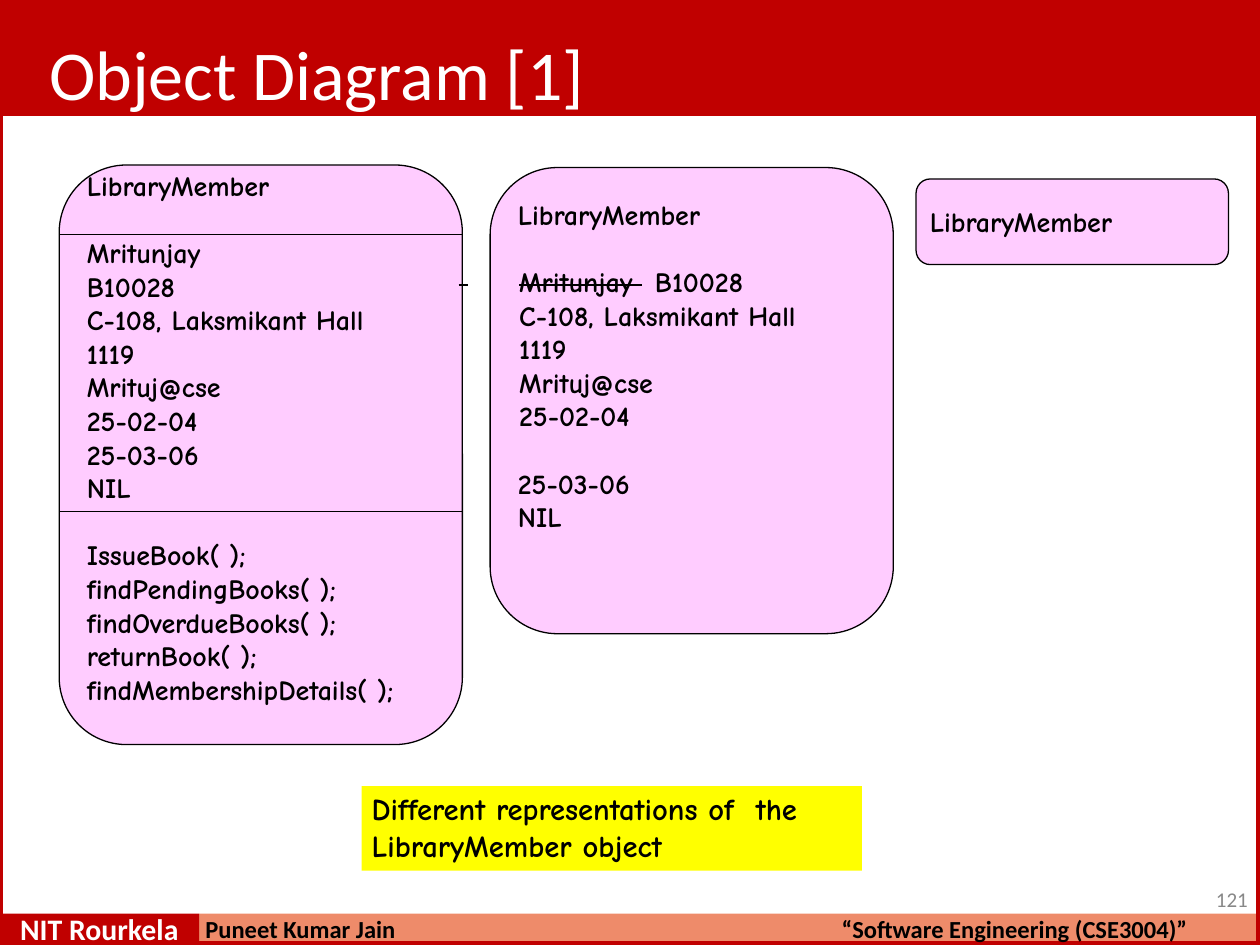
import pptx
import pptx.util
import pptx.dml.color
import pptx.enum.dml
import pptx.enum.shapes
import pptx.enum.text
import pptx.oxml
import pptx.oxml.ns
from dataclasses import dataclass

Inches, Pt = pptx.util.Inches, pptx.util.Pt
SHAPE = pptx.enum.shapes.MSO_SHAPE


@dataclass(frozen=True)
class Theme:
    red: str = "C00000"
    salmon: str = "EE8B6A"
    pink: str = "FFCCFF"
    yellow: str = "FFFF00"
    black: str = "000000"
    hairline: float = 0.75
    border: float = 4
    corner: float = 0.167


THEME = Theme()

# Text styles: font attributes by role
STYLES = {
    "title": dict(name="Calibri", size=Pt(40), bold=False, color="FFFFFF"),
    "object": dict(name="Comic Neue", size=Pt(16), bold=True, color=THEME.black),
    "caption": dict(name="Comic Neue", size=Pt(17.5), bold=True, color=THEME.black),
    "number": dict(name="Calibri", size=Pt(12), bold=False, color="888888"),
    "school": dict(name="Calibri", size=Pt(17), bold=True, color="FFFFFF"),
    "footer": dict(name="Calibri", size=Pt(14), bold=True, color=THEME.black),
}

# Content
TITLE = "Object Diagram [1]"
CAPTION = "Different representations of  the LibraryMember object"
MEMBER = "LibraryMember"
ADDRESS = ["C-108, Laksmikant Hall", "1119", "Mrituj@cse", "25-02-04"]
DATES = ["25-03-06", "NIL"]
METHODS = ["IssueBook( );", "findPendingBooks( );", "findOverdueBooks( );",
           "returnBook( );", "findMembershipDetails( );"]

# Left, top, width, height in inches
BANDS = [
    ((0, 0, 10, 0.92), THEME.red),
    ((1.58, 7.25, 8.42, 0.25), THEME.salmon),
    ((0, 7.25, 1.58, 0.25), THEME.red),
]
CARDS = [(0.47, 1.31, 3.2, 4.6), (3.89, 1.33, 3.2, 3.7), (7.27, 1.42, 2.48, 0.68)]
DIVIDERS = [1.86, 4.06]
TITLE_AREA = (0.38, 0.22, 6, 0.7)
CAPTION_AREA = (2.87, 6.24, 3.97, 0.67)
STRUCK_AREA = (3.62, 2.09, 3.23, 1.63)
STRUCK_INDENT, STRUCK_HANG, STRUCK_TABS = 0.5, -0.48, (0.5, 3.21)

# Area, top inset, style, exact line spacing, lines
LABELS = [
    ((0.68, 1.33, 1.8, 0.3), 0.01, "object", None, [MEMBER]),
    ((0.68, 1.86, 2.9, 2.15), 0.01, "object", None,
     ["Mritunjay", "B10028", *ADDRESS, *DATES]),
    ((0.68, 4.25, 2.9, 1.36), 0.02, "object", None, METHODS),
    ((4.1, 1.56, 1.8, 0.3), 0.01, "object", None, [MEMBER]),
    ((4.1, 3.69, 1.12, 0.56), 0.01, "object", None, DATES),
    ((7.37, 1.6, 1.8, 0.3), 0.02, "object", None, [MEMBER]),
    ((9.64, 7.03, 0.32, 0.23), 0.01, "number", None, ["121"]),
    ((0.15, 7.27, 1.4, 0.26), 0, "school", 17.2, ["NIT Rourkela"]),
    ((1.62, 7.29, 1.8, 0.22), 0, "footer", 14.2, ["Puneet Kumar Jain"]),
    ((6.67, 7.29, 3, 0.22), 0, "footer", 14.2, ["“Software Engineering (CSE3004)”"]),
]


def rgb(value):
    return pptx.dml.color.RGBColor.from_string(value)


def set_font(font, style):
    for key, value in STYLES[style].items():
        if key == "color":
            font.color.rgb = rgb(value)
        else:
            setattr(font, key, value)


def set_frame(frame, top_inset):
    settings = dict(
        margin_left=0, margin_right=0, margin_bottom=0, margin_top=Inches(top_inset),
        word_wrap=True, auto_size=pptx.enum.text.MSO_AUTO_SIZE.NONE,
        vertical_anchor=pptx.enum.text.MSO_ANCHOR.TOP)
    for key, value in settings.items():
        setattr(frame, key, value)


def set_indent(para, left, first=0):
    properties = para._p.get_or_add_pPr()
    properties.set("marL", str(Inches(left)))
    properties.set("indent", str(Inches(first)))
    return properties


def write_lines(frame, lines, style, left=0.01, spacing=None):
    for index, line in enumerate(lines):
        para = frame.paragraphs[0] if index == 0 else frame.add_paragraph()
        set_indent(para, left)
        para.alignment = pptx.enum.text.PP_ALIGN.LEFT
        para.space_before = Pt(0)
        if spacing:
            para.line_spacing = Pt(spacing)
        span = para.add_run()
        span.text = line
        set_font(span.font, style)


def draw_shape(page, kind, area, fill=None, line=None, width=THEME.hairline):
    shape = page.shapes.add_shape(kind, *map(Inches, area))
    shape.shadow.inherit = False
    if fill:
        shape.fill.solid()
        shape.fill.fore_color.rgb = rgb(fill)
    else:
        shape.fill.background()
    if line:
        shape.line.color.rgb = rgb(line)
        shape.line.width = Pt(width)
    else:
        shape.line.fill.background()
    return shape


def draw_divider(page, left, right, top):
    line = page.shapes.add_connector(
        pptx.enum.shapes.MSO_CONNECTOR.STRAIGHT,
        Inches(left), Inches(top), Inches(right), Inches(top))
    line.line.color.rgb = rgb(THEME.black)
    line.line.width = Pt(THEME.hairline)
    line._element.spPr.append(pptx.oxml.parse_xml(
        f'<a:effectLst {pptx.oxml.ns.nsdecls("a")}/>'))


def add_label(page, area, top_inset):
    box = page.shapes.add_textbox(*map(Inches, area))
    set_frame(box.text_frame, top_inset)
    return box.text_frame


def add_struck_member(page):
    """Member details whose name is struck through between two tab stops."""
    frame = add_label(page, STRUCK_AREA, 0.01)
    para = frame.paragraphs[0]
    properties = set_indent(para, STRUCK_INDENT, STRUCK_HANG)
    stops = "".join(f'<a:tab pos="{Inches(stop)}" algn="l"/>' for stop in STRUCK_TABS)
    properties.append(pptx.oxml.parse_xml(
        f'<a:tabLst {pptx.oxml.ns.nsdecls("a")}>{stops}</a:tabLst>'))
    for text, strike in [(" \tMritunjay \t", "sngStrike"), (" B10028", "noStrike")]:
        span = para.add_run()
        span.text = text
        set_font(span.font, "object")
        span.font._element.set("strike", strike)
    for line in ADDRESS:
        para = frame.add_paragraph()
        set_indent(para, STRUCK_INDENT)
        span = para.add_run()
        span.text = line
        set_font(span.font, "object")


def main():
    deck = pptx.Presentation()
    deck.slide_width, deck.slide_height = Inches(10), Inches(7.5)
    page = deck.slides.add_slide(deck.slide_layouts[5])

    # Bands and slide border
    for area, fill in BANDS:
        draw_shape(page, SHAPE.RECTANGLE, area, fill)
    draw_shape(page, SHAPE.RECTANGLE, (0, 0, 10, 7.5), line=THEME.red, width=THEME.border)

    # Title, brought in front of the bands
    title = page.shapes.title
    title.left, title.top, title.width, title.height = map(Inches, TITLE_AREA)
    set_frame(title.text_frame, 0.02)
    write_lines(title.text_frame, [TITLE], "title")
    page.shapes._spTree.append(title._element)

    # Object cards
    for area in CARDS:
        card = draw_shape(page, SHAPE.ROUNDED_RECTANGLE, area, THEME.pink, THEME.black)
        card.adjustments[0] = THEME.corner
    left, _, width, _ = CARDS[0]
    for top in DIVIDERS:
        draw_divider(page, left, left + width, top)

    # Caption
    caption = draw_shape(page, SHAPE.RECTANGLE, CAPTION_AREA, THEME.yellow)
    set_frame(caption.text_frame, 0.03)
    write_lines(caption.text_frame, [CAPTION], "caption", left=0.08)

    # Labels
    for area, top_inset, style, spacing, lines in LABELS:
        write_lines(add_label(page, area, top_inset), lines, style, spacing=spacing)
    add_struck_member(page)

    deck.save("out.pptx")


if __name__ == "__main__":
    main()
